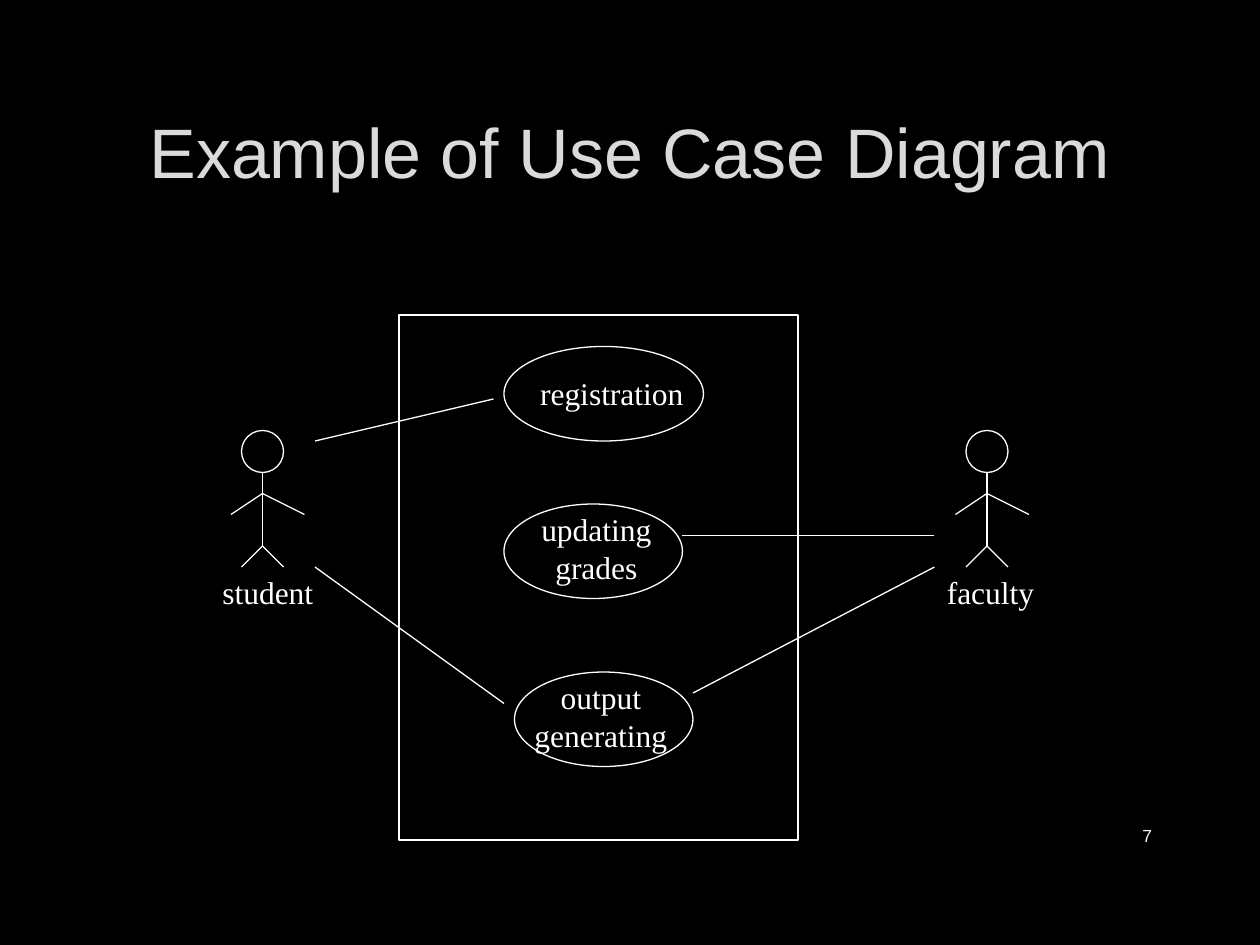
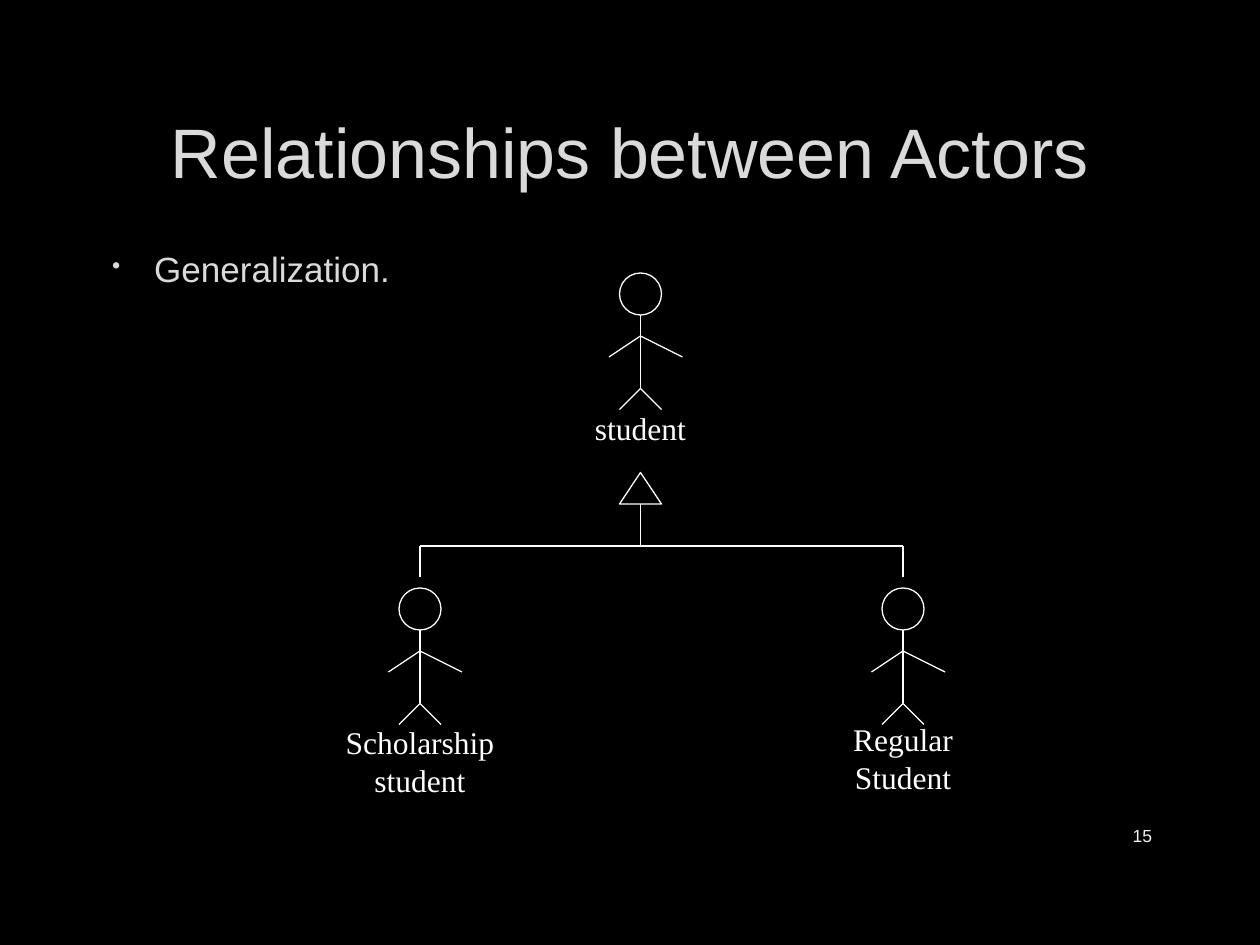
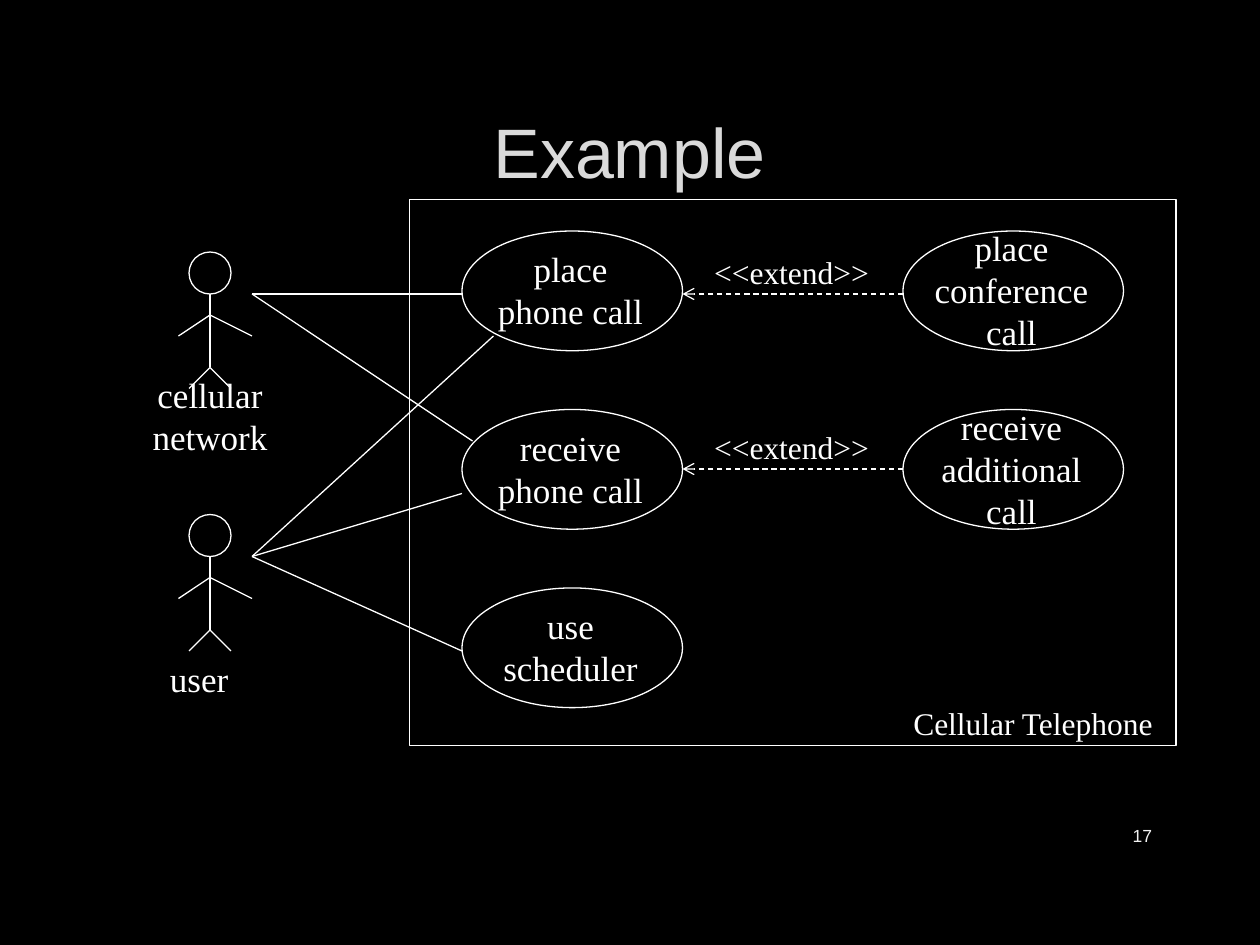
from dataclasses import dataclass

from lxml import etree
from pptx import Presentation
from pptx.dml.color import RGBColor
from pptx.enum import dml, shapes, text
from pptx.oxml import ns
from pptx.slide import Slide
from pptx.util import Pt

BLACK, WHITE = "000000", "FFFFFF"
TITLE_GRAY, NUMBER_GRAY, OUTLINE_GRAY = "DADADA", "F2F2F2", "404040"
SANS, SERIF = "Arial", "Times New Roman"
LINE_WIDTH = 0.75
LEFT, CENTER, RIGHT = text.PP_ALIGN.LEFT, text.PP_ALIGN.CENTER, text.PP_ALIGN.RIGHT
SHAPE = shapes.MSO_SHAPE


def color(hex_string):
    return RGBColor.from_string(hex_string)


def add_element(parent, tag, **attributes):
    return etree.SubElement(parent, ns.qn(tag), attributes)


def format_text(text_frame, size, font_name, hex_string, align):
    for paragraph in text_frame.paragraphs:
        paragraph.alignment = align
        for run in paragraph.runs:
            run.font.size = Pt(size)
            run.font.name = font_name
            run.font.color.rgb = color(hex_string)


def outline_text(text_frame):
    """Give each run a faint grey outline."""
    for paragraph in text_frame.paragraphs:
        for run in paragraph.runs:
            properties = run.font._element
            outline = add_element(properties, "a:ln", w=str(Pt(LINE_WIDTH)))
            fill = add_element(outline, "a:solidFill")
            tint = add_element(fill, "a:srgbClr", val=OUTLINE_GRAY)
            add_element(tint, "a:alpha", val="10000")
            properties.insert(0, outline)


@dataclass
class Region:
    """An area of a slide; all positions are relative to its corner."""
    slide: Slide
    left: float
    top: float

    def place(self, left, top):
        return Pt(self.left + left), Pt(self.top + top)

    def outline(self, kind, left, top, width, height):
        shape = self.slide.shapes.add_shape(
            kind, *self.place(left, top), Pt(width), Pt(height))
        shape.shadow.inherit = False
        shape.fill.background()
        shape.line.color.rgb = color(WHITE)
        shape.line.width = Pt(LINE_WIDTH)

    def line(self, start, end, dashed_arrow=False):
        connector = self.slide.shapes.add_connector(
            shapes.MSO_CONNECTOR.STRAIGHT, *self.place(*start), *self.place(*end))
        connector.line.color.rgb = color(WHITE)
        connector.line.width = Pt(LINE_WIDTH)
        if dashed_arrow:
            connector.line.dash_style = dml.MSO_LINE.DASH
            add_element(connector.line._get_or_add_ln(), "a:tailEnd", type="arrow")
        add_element(connector._element.spPr, "a:effectLst")

    def label(self, words, left, top, width, size=18, align=CENTER, wrap=True):
        height = (words.count("\n") + 1) * size * 1.2 + 7.2
        box = self.slide.shapes.add_textbox(
            *self.place(left, top), Pt(width), Pt(height))
        text_frame = box.text_frame
        text_frame.word_wrap = wrap
        text_frame.auto_size = text.MSO_AUTO_SIZE.SHAPE_TO_FIT_TEXT
        text_frame.text = words
        format_text(text_frame, size, SERIF, WHITE, align)

    def actor(self, center, top, name, name_top, name_width, size=18, align=CENTER):
        """Draw a stick figure with its name below."""
        neck, shoulder, hand, hip, foot = (top + y for y in (24, 36, 48, 66, 78))
        self.outline(SHAPE.OVAL, center - 12, top, 24, 24)
        self.line((center, neck), (center, hip))
        for reach in (24, -18):
            self.line((center, shoulder), (center + reach, hand))
        for step in (12, -12):
            self.line((center, hip), (center + step, foot))
        name_left = center - (name_width / 2 if align == CENTER else 30)
        self.label(name, name_left, top + name_top, name_width, size, align)


def add_slide(presentation, title, number):
    slide = presentation.slides.add_slide(presentation.slide_layouts[5])
    heading = slide.shapes.title
    heading.left, heading.top, heading.width, heading.height = map(
        Pt, (54, 48, 611.4, 76.4))
    heading.text_frame.text = title
    heading.text_frame.vertical_anchor = text.MSO_ANCHOR.MIDDLE
    format_text(heading.text_frame, 40, SANS, TITLE_GRAY, CENTER)
    outline_text(heading.text_frame)

    footer = slide.shapes.add_textbox(Pt(620.6), Pt(463), Pt(44.8), Pt(28.8))
    footer.text_frame.word_wrap = True
    footer.text_frame.vertical_anchor = text.MSO_ANCHOR.MIDDLE
    footer.text_frame.text = str(number)
    format_text(footer.text_frame, 10, SANS, NUMBER_GRAY, RIGHT)
    return slide


def add_bullet(slide, words, left, top, width, height):
    box = slide.shapes.add_textbox(Pt(left), Pt(top), Pt(width), Pt(height))
    text_frame = box.text_frame
    text_frame.word_wrap = True
    text_frame.text = words
    paragraph = text_frame.paragraphs[0]
    paragraph.space_after = Pt(6)
    properties = paragraph._p.get_or_add_pPr()
    properties.set("marL", str(Pt(27)))
    properties.set("indent", str(Pt(-24)))
    bullet_color = add_element(properties, "a:buClr")
    add_element(bullet_color, "a:srgbClr", val=TITLE_GRAY)
    add_element(properties, "a:buSzPct", val="70000")
    add_element(properties, "a:buChar", char="•")
    format_text(text_frame, 20, SANS, TITLE_GRAY, LEFT)
    outline_text(text_frame)


def draw_grading_system(region):
    region.actor(30, 66, "student", 78, 78, align=LEFT)
    use_cases = [
        ("registration", (168, 18, 114), (177.4, 30, 104.4)),
        ("updating\ngrades", (168, 108, 102), (174, 108, 93.6)),
        ("output\ngenerating", (174, 204, 102), (176.6, 204, 93.6)),
    ]
    for words, oval, label in use_cases:
        region.outline(SHAPE.OVAL, *oval, 54)
        region.label(words, *label)
    region.actor(444, 66, "faculty", 78, 72, align=LEFT)
    for start, end in [((60, 72), (162, 48)), ((60, 144), (168, 222)),
                       ((414, 126), (270, 126)), ((414, 144), (276, 216))]:
        region.line(start, end)
    region.outline(SHAPE.RECTANGLE, 108, 0, 228, 300)


def draw_generalization(region):
    parent, first_child, second_child = 198, 72, 348
    bar = 156
    region.actor(parent, 0, "student", 74.4, 72)
    region.actor(second_child, 180, "Regular Student", 72, 120)
    region.actor(first_child, 180, "Scholarship\nstudent", 73.7, 138)
    for child in (first_child, second_child):
        region.line((child, bar + 18), (child, bar))
    region.line((first_child, bar), (second_child, bar))
    region.outline(SHAPE.ISOSCELES_TRIANGLE, parent - 12, bar - 42, 24, 18)
    region.line((parent, bar - 24), (parent, bar))


def draw_telephone(region):
    columns, rows = (186, 438), (18, 120, 222)
    oval_width, oval_height = 126, 68.4
    use_cases = [
        ("place\nphone call", 0, 0, 6),
        ("receive\nphone call", 0, 1, 6),
        ("place\nconference call", 1, 0, -6),
        ("receive\nadditional call", 1, 1, -6),
        ("use\nscheduler", 0, 2, 6),
    ]
    for words, column, row, drop in use_cases:
        left, top = columns[column], rows[row]
        region.outline(SHAPE.OVAL, left, top, oval_width, oval_height)
        region.label(words, left + 4.5, top + drop, 115, size=20)

    region.actor(42, 30, "cellular\nnetwork", 66, 84, size=20)
    region.actor(42, 180, "user", 78, 61.2, size=20, align=LEFT)
    network, user = (66, 54), (66, 204)
    for start, end in [(network, (186, 54)), (network, (192, 138)),
                       (user, (204, 78)), (user, (186, 168)), (user, (186, 258))]:
        region.line(start, end)

    for level in (54, 154):
        region.line((columns[1], level), (columns[0] + oval_width, level),
                    dashed_arrow=True)
        region.label("<<extend>>", 323, level - 27, 103, align=LEFT, wrap=False)
    region.outline(SHAPE.RECTANGLE, 156, 0, 438, 312)
    region.label("Cellular Telephone", 436.8, 285, 152.6, align=LEFT, wrap=False)


def main():
    presentation = Presentation()
    presentation.slide_width, presentation.slide_height = Pt(720), Pt(540)
    background = presentation.slide_master.background.fill
    background.solid()
    background.fore_color.rgb = color(BLACK)

    slide = add_slide(presentation, "Example of Use Case Diagram", 7)
    draw_grading_system(Region(slide, 120, 180))

    slide = add_slide(presentation, "Relationships between Actors", 15)
    add_bullet(slide, "Generalization.", 54, 138, 611.4, 318)
    draw_generalization(Region(slide, 168, 156))

    slide = add_slide(presentation, "Example", 17)
    draw_telephone(Region(slide, 78, 114))

    presentation.save("out.pptx")


if __name__ == "__main__":
    main()
